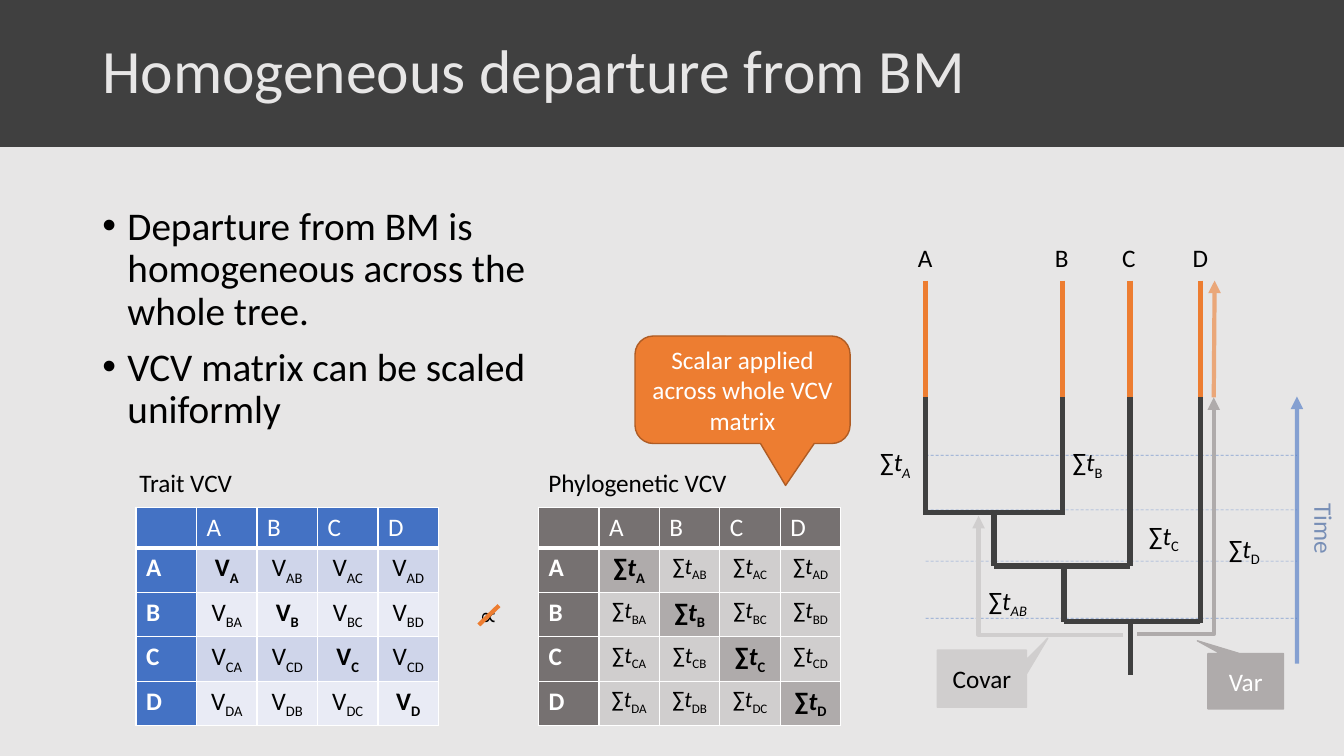
from dataclasses import dataclass
from typing import NamedTuple

from lxml import etree
from pptx import Presentation
from pptx import util as u
from pptx.dml.color import RGBColor
from pptx.enum import dml, shapes, text
from pptx.oxml import ns

CELL = u.Emu(76200)  # the slide is a grid of 160 columns by 90 rows
COLUMNS, ROWS = 160, 90
FONT = "Calibri"

BLACK = RGBColor(0x00, 0x00, 0x00)
WHITE = RGBColor(0xFF, 0xFF, 0xFF)
PAPER = RGBColor(0xE7, 0xE6, 0xE6)
CHARCOAL = RGBColor(0x40, 0x40, 0x40)
BLUE = RGBColor(0x44, 0x72, 0xC4)
NAVY = RGBColor(0x2F, 0x55, 0x97)
BLUE_BAND = RGBColor(0xCF, 0xD5, 0xEA)
BLUE_PALE = RGBColor(0xE9, 0xEB, 0xF5)
GREY_DARK = RGBColor(0x76, 0x71, 0x71)
GREY = RGBColor(0xAF, 0xAB, 0xAB)
GREY_LIGHT = RGBColor(0xD0, 0xCE, 0xCE)
ORANGE = RGBColor(0xED, 0x7D, 0x31)
RUST = RGBColor(0xAF, 0x5C, 0x24)


class Point(NamedTuple):
    col: float
    row: float


class Box(NamedTuple):
    col: float
    row: float
    cols: float
    rows: float


class Part(NamedTuple):
    """A stretch of text in one style."""
    words: str
    italic: bool = False
    sub: bool = False


@dataclass
class Stroke:
    color: RGBColor
    points: float
    opacity: int = 100
    dashed: bool = False
    arrow: bool = False


@dataclass
class Callout:
    kind: shapes.MSO_SHAPE
    box: Box
    words: str
    ink: RGBColor
    fill: RGBColor
    edge: RGBColor
    pointer: tuple[float, ...]


@dataclass
class Matrix:
    name: str
    name_at: Box
    corner: Point
    symbol: list[Part]
    head: RGBColor
    bands: tuple[RGBColor, RGBColor]
    diagonal: RGBColor | None
    size: int
    rows: list[str]


SPECIES = "ABCD"
TIPS = dict(zip(SPECIES, (110.2, 126.5, 134.5, 142.9)))
CROWN, SPLIT = 33.4, 47.3
SUM_T = [Part("∑"), Part("t", italic=True)]

BRANCH = Stroke(CHARCOAL, 4)
SCALED_BRANCH = Stroke(ORANGE, 4)
GUIDE = Stroke(BLUE, 0.5, opacity=60, dashed=True)

TREE = [
    (Point(TIPS["A"], SPLIT), Point(TIPS["A"], 61.3)),
    (Point(TIPS["B"], SPLIT), Point(TIPS["B"], 61.3)),
    (Point(TIPS["B"], 61), Point(TIPS["A"], 61)),
    (Point(118.3, 61), Point(118.3, 67.4)),
    (Point(TIPS["C"], SPLIT), Point(TIPS["C"], 67.4)),
    (Point(TIPS["D"], SPLIT), Point(TIPS["D"], 74.2)),
    (Point(TIPS["C"], 67.4), Point(118.3, 67.4)),
    (Point(126.7, 67.4), Point(126.7, 74)),
    (Point(134.6, 73.8), Point(134.6, 80.4)),
    (Point(TIPS["D"], 74), Point(126.7, 74)),
]
BRANCH_SUMS = [
    (Box(145.1, 62.9, 6.4, 4.8), Part("D", sub=True)),
    (Box(135.6, 61.3, 6.4, 4.8), Part("C", sub=True)),
    (Box(126.5, 52.6, 6.4, 4.8), Part("B", sub=True)),
    (Box(103.6, 52.6, 6.2, 4.8), Part("A", italic=True, sub=True)),
    (Box(116.5, 69.1, 7.3, 4.8), Part("AB", italic=True, sub=True)),
]
PHYLOGENETIC = Matrix(
    "Phylogenetic VCV", Box(64.1, 55, 23.9, 4.8), Point(64.1, 60.4), SUM_T,
    GREY_DARK, (GREY_LIGHT, GREY_LIGHT), GREY, 16,
    ["A AB AC AD", "BA B BC BD", "CA CB C CD", "DA DB DC D"])
TRAIT = Matrix(
    "Trait VCV", Box(15.4, 55.1, 13.6, 4.8), Point(16.2, 60.4), [Part("V")],
    BLUE, (BLUE_BAND, BLUE_PALE), None, 18,
    ["A AB AC AD", "BA B BC BD", "CA CD C CD", "DA DB DC D"])
VAR = Callout(shapes.MSO_SHAPE.RECTANGULAR_CALLOUT, Box(143.8, 77.8, 9, 6.6),
              "Var", WHITE, GREY, GREY, (-0.64, -0.73))
COVAR = Callout(shapes.MSO_SHAPE.RECTANGULAR_CALLOUT, Box(111.6, 77.4, 10.6, 6.8),
                "Covar", BLACK, GREY_LIGHT, GREY_LIGHT, (0.74, -0.71))
SCALAR = Callout(shapes.MSO_SHAPE.ROUNDED_RECTANGULAR_CALLOUT, Box(75.6, 40, 25.6, 12.8),
                 "Scalar applied across whole VCV matrix", WHITE, ORANGE, RUST,
                 (0.2, 0.89, 0.17))


def grid(*lengths: float) -> list[u.Emu]:
    return [u.Emu(round(length * CELL)) for length in lengths]


def add_xml(parent, tag: str, **attributes: str):
    return etree.SubElement(parent, ns.qn(tag), attributes)


def fade(element, opacity: int) -> None:
    for color in element.iter(ns.qn("a:srgbClr")):
        add_xml(color, "a:alpha", val=str(opacity * 1000))


def style_line(line, stroke: Stroke) -> None:
    line.color.rgb = stroke.color
    line.width = u.Pt(stroke.points)
    if stroke.dashed:
        line.dash_style = dml.MSO_LINE.DASH
    ln = line._get_or_add_ln()
    if stroke.opacity < 100:
        fade(ln, stroke.opacity)
    if stroke.arrow:
        add_xml(ln, "a:tailEnd", type="triangle")


def draw_line(slide, start: Point, end: Point, stroke: Stroke) -> None:
    line = slide.shapes.add_connector(shapes.MSO_CONNECTOR.STRAIGHT, *grid(*start, *end))
    style_line(line.line, stroke)
    add_xml(line._element.spPr, "a:effectLst")


def draw_bent_arrow(slide, route: list[Point], color: RGBColor) -> None:
    start, *rest = [grid(*point) for point in route]
    builder = slide.shapes.build_freeform(*start)
    builder.add_line_segments(rest, close=False)
    arrow = builder.convert_to_shape()
    arrow.fill.background()
    arrow.shadow.inherit = False
    style_line(arrow.line, Stroke(color, 3, arrow=True))


def write(paragraph, parts: list[Part], size: float = 18, color: RGBColor = BLACK,
          bold: bool = False) -> None:
    font = paragraph.font
    font.name, font.size, font.bold = FONT, u.Pt(size), bold
    font.color.rgb = color
    for part in parts:
        run = paragraph.add_run()
        run.text = part.words
        if part.italic:
            run.font.italic = True
        if part.sub:
            run._r.get_or_add_rPr().set("baseline", "-25000")


def draw_label(slide, box: Box, parts: list[Part], color: RGBColor = BLACK):
    label = slide.shapes.add_textbox(*grid(*box))
    label.text_frame.word_wrap = False
    label.text_frame.auto_size = text.MSO_AUTO_SIZE.SHAPE_TO_FIT_TEXT
    write(label.text_frame.paragraphs[0], parts, color=color)
    return label


def draw_callout(slide, callout: Callout) -> None:
    bubble = slide.shapes.add_shape(callout.kind, *grid(*callout.box))
    for index, value in enumerate(callout.pointer):
        bubble.adjustments[index] = value
    bubble.shadow.inherit = False
    bubble.fill.solid()
    bubble.fill.fore_color.rgb = callout.fill
    style_line(bubble.line, Stroke(callout.edge, 1))
    frame = bubble.text_frame
    frame.word_wrap = True
    frame.vertical_anchor = text.MSO_ANCHOR.MIDDLE
    frame.paragraphs[0].alignment = text.PP_ALIGN.CENTER
    write(frame.paragraphs[0], [Part(callout.words)], color=callout.ink)


def style_cell(cell, fill: RGBColor, bottom: float) -> None:
    borders = cell._tc.get_or_add_tcPr()
    for side, points in zip("LRTB", (1, 1, 1, bottom)):
        ln = add_xml(borders, f"a:ln{side}", w=str(u.Pt(points)))
        add_xml(add_xml(ln, "a:solidFill"), "a:srgbClr", val=str(WHITE))
    cell.fill.solid()
    cell.fill.fore_color.rgb = fill


def draw_matrix(slide, matrix: Matrix) -> None:
    draw_label(slide, matrix.name_at, [Part(matrix.name)])
    count = len(SPECIES) + 1
    table = slide.shapes.add_table(
        count, count, *grid(*matrix.corner, 7.2 * count, 4.8 * count)).table
    for c, species in enumerate(" " + SPECIES):
        style_cell(table.cell(0, c), matrix.head, bottom=3)
        write(table.cell(0, c).text_frame.paragraphs[0],
              [Part(species)] if c else [], color=WHITE)
    for r, (species, entries) in enumerate(zip(SPECIES, matrix.rows), start=1):
        style_cell(table.cell(r, 0), matrix.head, bottom=1)
        write(table.cell(r, 0).text_frame.paragraphs[0], [Part(species)], color=WHITE, bold=True)
        for c, entry in enumerate(entries.split(), start=1):
            own = r == c
            fill = matrix.diagonal if own and matrix.diagonal else matrix.bands[(r - 1) % 2]
            style_cell(table.cell(r, c), fill, bottom=1)
            paragraph = table.cell(r, c).text_frame.paragraphs[0]
            paragraph.alignment = text.PP_ALIGN.CENTER
            write(paragraph, [*matrix.symbol, Part(entry, sub=True)],
                  18 if own else matrix.size, bold=own)


def draw_heading(slide) -> None:
    title = slide.shapes.add_textbox(*grid(11, 0, 138, 17.4)).text_frame
    title.word_wrap = True
    title.vertical_anchor = text.MSO_ANCHOR.MIDDLE
    title.paragraphs[0].line_spacing = 0.9
    write(title.paragraphs[0], [Part("Homogeneous departure from BM")], 44, PAPER)


def draw_points(slide) -> None:
    body = slide.shapes.add_textbox(*grid(11, 24, 64.6, 57.1)).text_frame
    body.word_wrap = True
    for index, point in enumerate(("Departure from BM is homogeneous across the whole tree.",
                                   "VCV matrix can be scaled uniformly")):
        paragraph = body.add_paragraph() if index else body.paragraphs[0]
        paragraph.line_spacing = 0.9
        if index:
            paragraph.space_before = u.Pt(10)
        layout = paragraph._p.get_or_add_pPr()
        layout.set("marL", str(3 * CELL))
        layout.set("indent", str(-3 * CELL))
        add_xml(layout, "a:buFont", typeface="Arial")
        add_xml(layout, "a:buChar", char="•")
        write(paragraph, [Part(point)], 28)


def main() -> None:
    deck = Presentation()
    deck.slide_width, deck.slide_height = grid(COLUMNS, ROWS)
    slide = deck.slides.add_slide(deck.slide_layouts[6])
    slide.background.fill.solid()
    slide.background.fill.fore_color.rgb = PAPER

    band = slide.shapes.add_shape(shapes.MSO_SHAPE.RECTANGLE, *grid(0, 0, COLUMNS, 17.4))
    band.shadow.inherit = False
    band.fill.solid()
    band.fill.fore_color.rgb = CHARCOAL
    style_line(band.line, Stroke(CHARCOAL, 1))
    for row in (54.2, 60.7, 66.8, 73.6):
        draw_line(slide, Point(TIPS["A"], row), Point(154.4, row), GUIDE)
    draw_heading(slide)
    draw_points(slide)

    for start, end in TREE:
        draw_line(slide, start, end, BRANCH)
    for species, col in TIPS.items():
        draw_label(slide, Box(col - 2.1, 28.3, 4.2, 4.8), [Part(species)])
    for box, branch in BRANCH_SUMS:
        draw_label(slide, box, [*SUM_T, branch])

    draw_matrix(slide, PHYLOGENETIC)
    draw_bent_arrow(slide, [Point(135.4, 75.5), Point(144.5, 75.5), Point(144.5, SPLIT)], GREY)
    draw_line(slide, Point(154.4, 79), Point(154.4, 47.2), Stroke(BLUE, 3, 60, arrow=True))
    time = draw_label(slide, Box(153.4, 60.6, 8.5, 4.8), [Part("Time")], NAVY)
    time.rotation = 90
    fade(time.text_frame._txBody, 60)
    draw_callout(slide, VAR)
    draw_callout(slide, COVAR)
    draw_matrix(slide, TRAIT)

    draw_label(slide, Box(55.9, 70.9, 4.6, 4.8), [Part("∝")])
    draw_bent_arrow(slide, [Point(133.7, 75.6), Point(116.5, 75.6), Point(116.5, 61.4)],
                    GREY_LIGHT)
    draw_line(slide, Point(59.4, 72.1), Point(57, 74.4), Stroke(ORANGE, 3))
    draw_callout(slide, SCALAR)
    for col in TIPS.values():
        draw_line(slide, Point(col, CROWN), Point(col, SPLIT), SCALED_BRANCH)
    draw_line(slide, Point(144.5, SPLIT), Point(144.6, CROWN), Stroke(ORANGE, 3, 60, arrow=True))
    deck.save("out.pptx")


if __name__ == "__main__":
    main()
